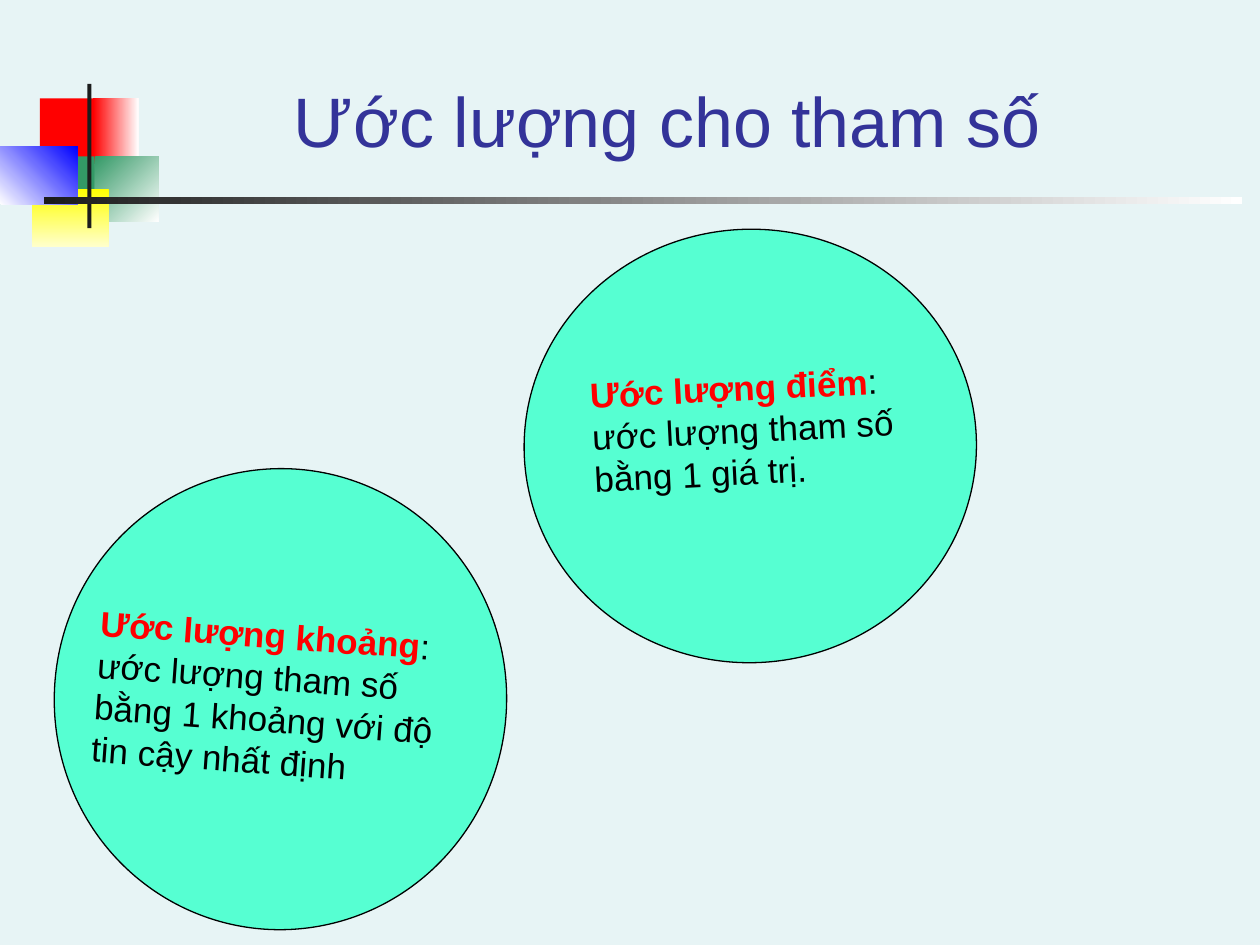
"""Build the slide on point and interval estimation of a parameter."""
from pptx import Presentation
from pptx.dml.color import RGBColor
from pptx.enum.shapes import MSO_SHAPE
from pptx.enum.text import MSO_ANCHOR, PP_ALIGN
from pptx.util import Pt

RECT, OVAL = MSO_SHAPE.RECTANGLE, MSO_SHAPE.OVAL
TOP, BOTTOM = MSO_ANCHOR.TOP, MSO_ANCHOR.BOTTOM
LEFT, CENTER = PP_ALIGN.LEFT, PP_ALIGN.CENTER
MINT, INK = "56FFD2", "1C1C1C"


def rgb(color):
    """Return the colour for a hex string."""
    return RGBColor.from_string(color)


def add_run(p, text, color, **fmt):
    """Add a formatted run to a paragraph."""
    r = p.add_run()
    r.text = text
    r.font.color.rgb = rgb(color)
    for name, value in {"name": "Arial", **fmt}.items():
        setattr(r.font, name, value)


prs = Presentation()
prs.slide_width, prs.slide_height = Pt(720), Pt(540)
s = prs.slides.add_slide(prs.slide_layouts[5])
s.background.fill.solid()
s.background.fill.fore_color.rgb = rgb("E7F4F5")

title = s.shapes.title
title.left, title.top, title.width, title.height = Pt(90.7), Pt(18), Pt(581), Pt(77.8)
tf = title.text_frame
tf.word_wrap = True
tf.vertical_anchor = BOTTOM
p = tf.paragraphs[0]
p.alignment = CENTER
add_run(p, "Ước lượng cho tham số", "333399", size=Pt(40))

ornaments = [
    ((22.8, 56.2, 34.6, 37.4), ["FF0000"], 0),
    ((53.3, 56.2, 25.9, 37.4), ["FF0000", "FFFFFF"], 0),
    ((54, 89.3, 36.7, 37.4), ["339966", "FFFFFF"], 315),
    ((31, 89.3, 23, 37.4), ["339966"], 0),
    ((18.2, 108, 43.9, 33.1), ["FFFF00", "FFFFCC"], 270),
    ((0, 83.5, 44.3, 33.4), ["FFFFFF", "0000FF"], 45),
    ((49.9, 48, 2.4, 82.5), [INK], 0),
    ((25.2, 112.5, 684.5, 4.2), [INK, "FFFFFF"], 0),
]
for box, colors, angle in ornaments:
    sp = s.shapes.add_shape(RECT, *map(Pt, box))
    sp.shadow.inherit = False
    sp.line.fill.background()
    if len(colors) == 1:
        sp.fill.solid()
        sp.fill.fore_color.rgb = rgb(colors[0])
    else:
        sp.fill.gradient()
        sp.fill.gradient_angle = angle
        for stop, color in zip(sp.fill.gradient_stops, colors):
            stop.color.rgb = rgb(color)

estimates = [
    ((299.5, 131, 258.5, 247.7), (331.2, 205.2, 195.1, 79.9), 357,
     "Ước lượng điểm", ": ước lượng tham số bằng 1 giá trị."),
    ((31, 267.8, 258.5, 263.5), (47.5, 347, 213.8, 104.4), 4.1,
     "Ước lượng khoảng", ": ước lượng tham số bằng 1 khoảng với độ tin cậy nhất định"),
]
for circle, label, angle, term, meaning in estimates:
    for kind, box in ((OVAL, circle), (RECT, label)):
        sp = s.shapes.add_shape(kind, *map(Pt, box))
        sp.shadow.inherit = False
        sp.rotation = angle
        sp.fill.solid()
        sp.fill.fore_color.rgb = rgb(MINT)
        if kind == OVAL:
            sp.line.color.rgb = rgb("000000")
            sp.line.width = Pt(0.75)
        else:
            sp.line.fill.background()
            tf = sp.text_frame
            tf.word_wrap = True
            tf.vertical_anchor = TOP
            p = tf.paragraphs[0]
            p.alignment = LEFT
            add_run(p, term, "FF0000", size=Pt(20), bold=True)
            add_run(p, meaning, "000000", size=Pt(20), bold=False)

prs.save("out.pptx")
